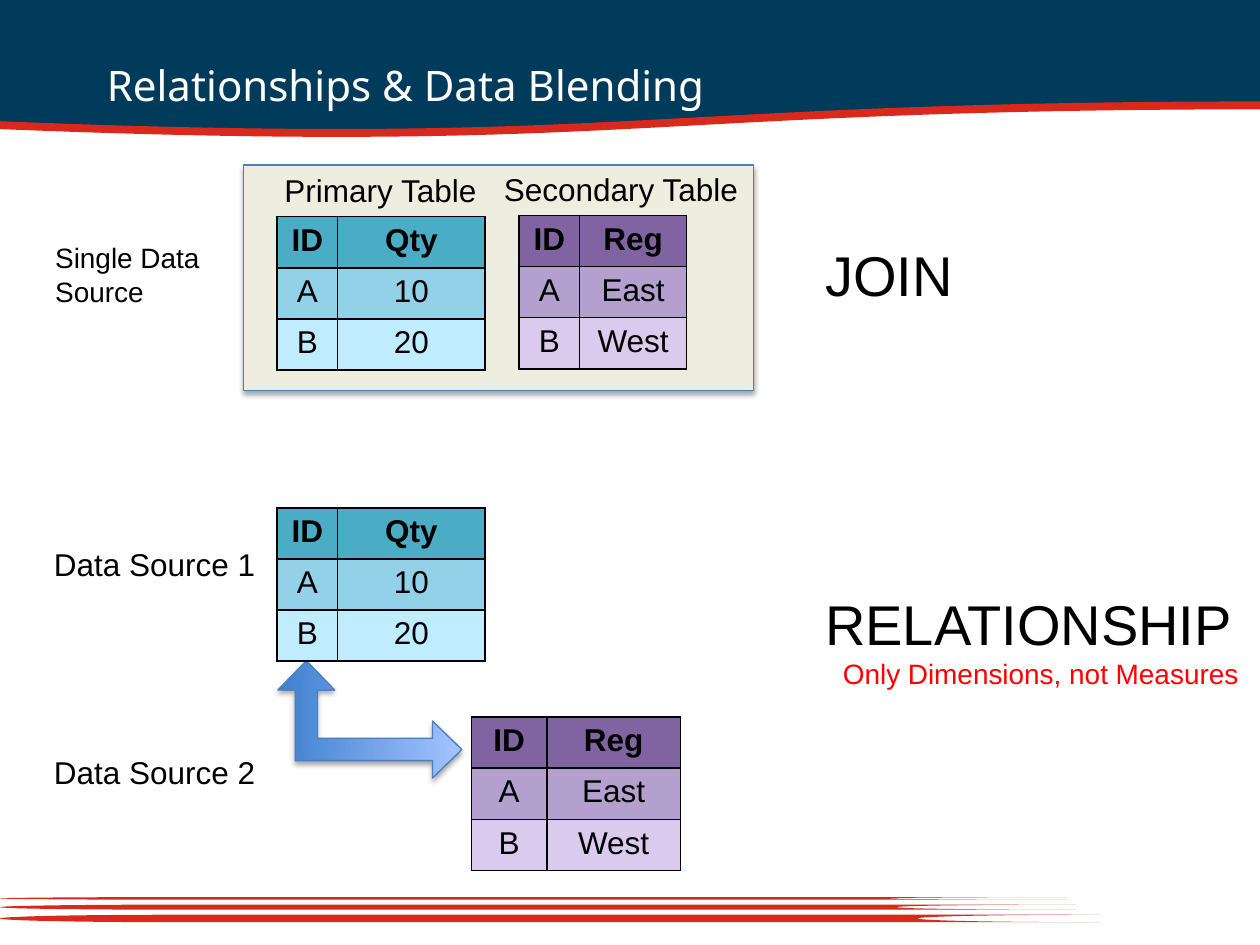
import pptx
import pptx.util
import pptx.dml.color
import pptx.enum.shapes
import pptx.enum.text
import lxml.etree

KIND = pptx.enum.shapes.MSO_SHAPE
MID = pptx.enum.text.PP_ALIGN.CENTER
LEFT = pptx.enum.text.PP_ALIGN.LEFT
Pt = pptx.util.Pt
NS = "http://schemas.openxmlformats.org/drawingml/2006/main"

deck = pptx.Presentation()
deck.slide_width = pptx.util.Inches(10)
deck.slide_height = pptx.util.Inches(7.5)
slide = deck.slides.add_slide(deck.slide_layouts[6])
shapes = slide.shapes
# The grid has 100 columns and 75 rows
unit = deck.slide_width / 100


def hue(code):
    return pptx.dml.color.RGBColor.from_string(code)


def write(para, text, look, tint="000000", side=LEFT):
    para.alignment = side
    run = para.add_run()
    run.text = text
    for key, val in look.items():
        setattr(run.font, key, val)
    run.font.color.rgb = hue(tint)


# Banner, footer stripes, panel and bent arrow
RED, EDGE = "DA291C", "4B7EBC"
STRIPE = KIND.FLOWCHART_STORED_DATA
SHADE = f"""<a:effectLst xmlns:a="{NS}">
<a:outerShdw blurRad="39370" dist="22860" dir="5400000" rotWithShape="0">
<a:srgbClr val="000000"><a:alpha val="35000"/></a:srgbClr>
</a:outerShdw></a:effectLst>"""

forms = [
    (KIND.FLOWCHART_DOCUMENT, (-0.4, -1.1, 100.8, 11.8), "003B5C", RED, 4.5),
    (STRIPE, (0, 71.2, 84.7, 0.2), RED, None, 0),
    (STRIPE, (0, 71.8, 85.4, 0.4), RED, None, 0),
    (STRIPE, (0, 72.6, 87.4, 0.6), RED, None, 0),
    (KIND.RECTANGLE, (19.3, 13.1, 40.5, 17.9), "EEEEE0", EDGE, 0.75),
    (KIND.LEFT_UP_ARROW, (24.7, 49.8, 9.3, 14.6), None, EDGE, 0.75),
]
for kind, spot, fill, line, wide in forms:
    form = shapes.add_shape(kind, *[round(n * unit) for n in spot])
    form.shadow.inherit = False
    if line:
        form.line.color.rgb = hue(line)
        form.line.width = Pt(wide)
    else:
        form.line.fill.background()
    if line == EDGE:
        props = form._element.spPr
        props.remove(props.find(f"{{{NS}}}effectLst"))
        props.append(lxml.etree.fromstring(SHADE))
    if fill:
        form.fill.solid()
        form.fill.fore_color.rgb = hue(fill)
    else:
        form.rotation = 90
        for i, val in enumerate((0.19, 0.243, 0.25)):
            form.adjustments[i] = val
        form.fill.gradient()
        form.fill.gradient_angle = 90
        for stop, code in zip(form.fill.gradient_stops, ("3F80CE", "A4C4FF")):
            stop.color.rgb = hue(code)

# Tables: fills run from the head row down
BLUE = ("4BACC6", "92D1E8", "BFECFF")
PLUM = ("8064A2", "B3A0CF", "DACAED")
QTY = (("ID", "Qty"), ("A", "10"), ("B", "20"))
REG = (("ID", "Reg"), ("A", "East"), ("B", "West"))
ROW = 4.06

grids = [
    (22, 17.2, (4.8, 11.7), QTY, BLUE),
    (41.2, 17.1, (4.8, 8.5), REG, PLUM),
    (22, 40.3, (4.8, 11.7), QTY, BLUE),
    (37.4, 56.9, (6, 10.6), REG, PLUM),
]
for left, top, wides, data, fills in grids:
    spot = (left, top, sum(wides), ROW * len(data))
    frame = shapes.add_table(len(data), 2, *[round(n * unit) for n in spot])
    table = frame.table
    for col, wide in zip(table.columns, wides):
        col.width = round(wide * unit)
    for r, words in enumerate(data):
        table.rows[r].height = round(ROW * unit)
        look = {"size": Pt(18), "name": "Arial", "bold": r == 0}
        for c, word in enumerate(words):
            cell = table.cell(r, c)
            write(cell.text_frame.paragraphs[0], word, look, side=MID)
            cell.fill.solid()
            cell.fill.fore_color.rgb = hue(fills[r])
            props = cell._tc.get_or_add_tcPr()
            for i, side in enumerate(("lnL", "lnR", "lnT", "lnB")):
                props.insert(i, lxml.etree.fromstring(
                    f'<a:{side} xmlns:a="{NS}" w="12700"><a:solidFill>'
                    f'<a:srgbClr val="000000"/></a:solidFill></a:{side}>'))

# Title and labels: place, wrap, then lines of text, size, colour, side
INK = "000000"
notes = [
    ((7.5, 4.2, 82.5, 6.7), True,
     [("Relationships & Data Blending", 24, "FFFFFF", LEFT)]),
    ((21.6, 13.1, 17.4, 4), False, [("Primary Table", 18, INK, LEFT)]),
    ((39, 13, 20.8, 4), False, [("Secondary Table", 18, INK, LEFT)]),
    ((64.5, 18.6, 12.2, 6.4), False, [("JOIN", 32, INK, LEFT)]),
    ((3.4, 18.6, 14.6, 6.4), True, [("Single Data Source", 16, INK, LEFT)]),
    ((3.3, 42.8, 18.1, 4), False, [("Data Source 1", 18, INK, LEFT)]),
    ((3.3, 59.3, 18.1, 4), False, [("Data Source 2", 18, INK, LEFT)]),
    ((64.5, 46.3, 36.2, 9.1), True,
     [("RELATIONSHIP", 32, INK, LEFT),
      ("Only Dimensions, not Measures", 16, "FF0000", MID)]),
]
for spot, wrap, lines in notes:
    body = shapes.add_textbox(*[round(n * unit) for n in spot]).text_frame
    body.word_wrap = wrap
    for i, (text, size, tint, side) in enumerate(lines):
        para = body.add_paragraph() if i else body.paragraphs[0]
        name = "Noto Sans" if size == 24 else "Arial"
        write(para, text, {"size": Pt(size), "name": name}, tint, side)

deck.save("out.pptx")
